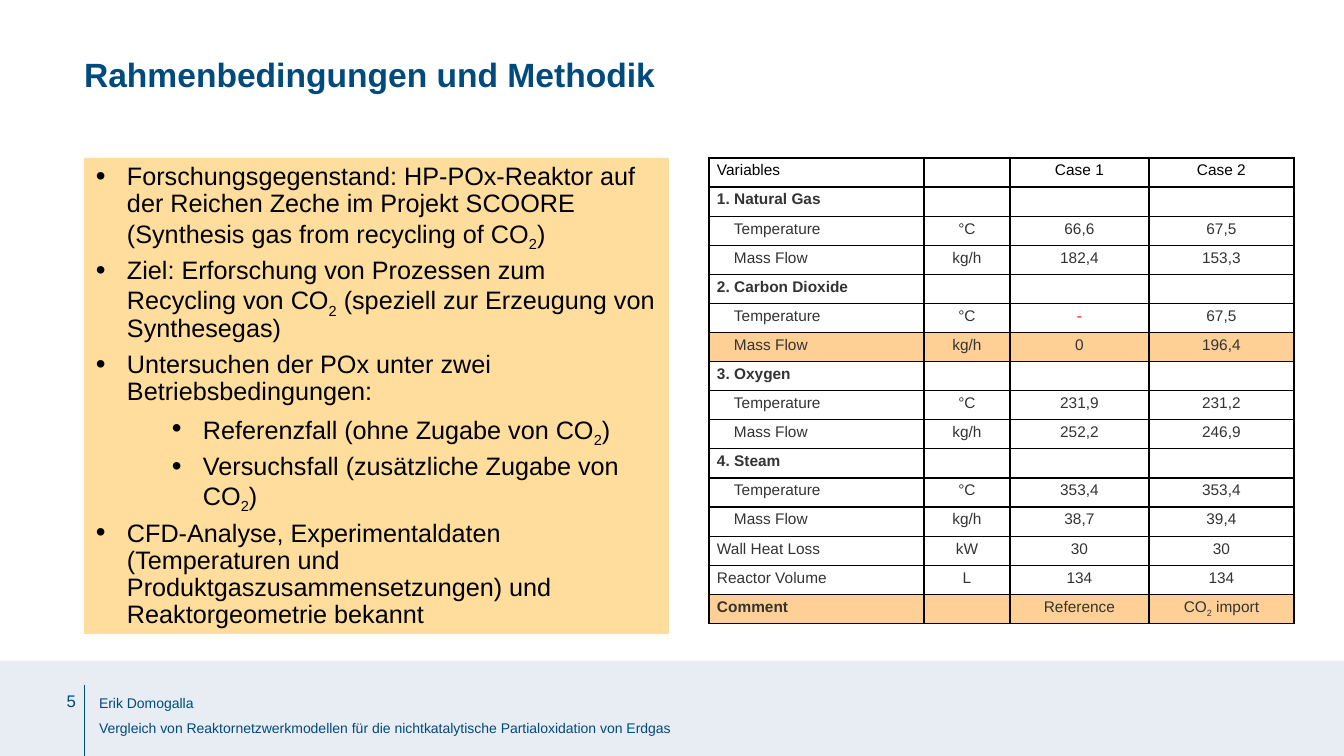
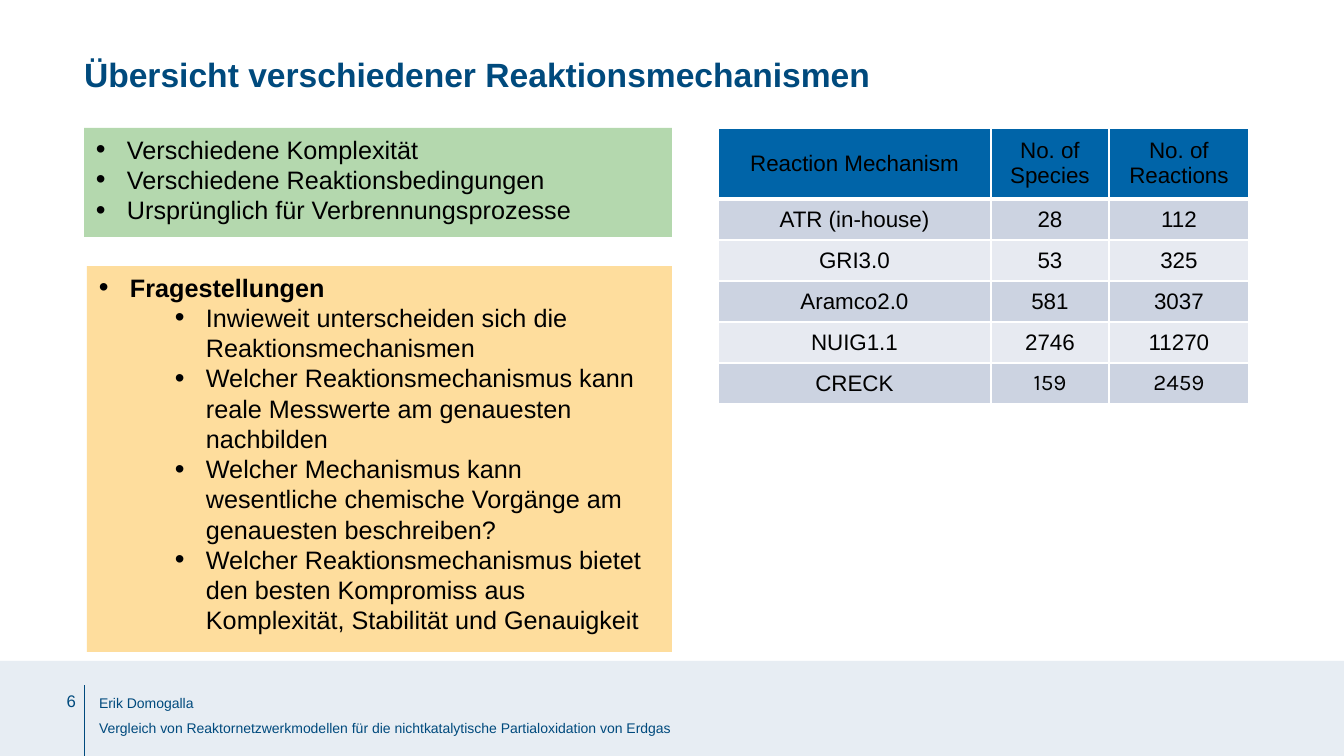
from lxml.etree import SubElement
from pptx import Presentation
from pptx.dml.color import RGBColor
from pptx.enum.shapes import MSO_CONNECTOR, MSO_SHAPE
from pptx.enum.text import MSO_ANCHOR, MSO_AUTO_SIZE, PP_ALIGN
from pptx.oxml.ns import qn
from pptx.util import Emu, Pt

EMU_PER_PX = 914400 / 100.8
FONT = "Arial"
COLORS = {
    "navy": "004A7D", "band": "E7EDF3", "black": "000000", "white": "FFFFFF",
    "gray": "333333", "red": "FF0000", "amber": "FEDD9D", "green": "B4D8AE",
    "highlight": "FED095", "header": "0064A8", "odd": "CCD3E1", "even": "E7EAF1",
}
AUTHOR = "Erik Domogalla"
TALK = "Vergleich von Reaktornetzwerkmodellen für die nichtkatalytische Partialoxidation von Erdgas"

RESEARCH_POINTS = [
    (0, "Forschungsgegenstand: HP-POx-Reaktor auf der Reichen Zeche im Projekt SCOORE "
        "(Synthesis gas from recycling of CO₂)"),
    (0, "Ziel: Erforschung von Prozessen zum Recycling von CO₂ (speziell zur Erzeugung von Synthesegas)"),
    (0, "Untersuchen der POx unter zwei Betriebsbedingungen:"),
    (1, "Referenzfall (ohne Zugabe von CO₂)"),
    (1, "Versuchsfall (zusätzliche Zugabe von CO₂)"),
    (0, "CFD-Analyse, Experimentaldaten (Temperaturen und Produktgaszusammensetzungen) "
        "und Reaktorgeometrie bekannt"),
]
# Inlet streams: name, temperatures, mass flows
STREAMS = [
    ("1. Natural Gas", ("66,6", "67,5"), ("182,4", "153,3")),
    ("2. Carbon Dioxide", ("-", "67,5"), ("0", "196,4")),
    ("3. Oxygen", ("231,9", "231,2"), ("252,2", "246,9")),
    ("4. Steam", ("353,4", "353,4"), ("38,7", "39,4")),
]
MECHANISM_TRAITS = [
    (0, "Verschiedene Komplexität"),
    (0, "Verschiedene Reaktionsbedingungen"),
    (0, "Ursprünglich für Verbrennungsprozesse"),
]
QUESTIONS = [
    (0, "Fragestellungen"),
    (1, "Inwieweit unterscheiden sich die Reaktionsmechanismen"),
    (1, "Welcher Reaktionsmechanismus kann reale Messwerte am genauesten nachbilden"),
    (1, "Welcher Mechanismus kann wesentliche chemische Vorgänge am genauesten beschreiben?"),
    (1, "Welcher Reaktionsmechanismus bietet den besten Kompromiss aus Komplexität, "
        "Stabilität und Genauigkeit"),
]
MECHANISMS = [
    ("Reaction Mechanism", "No. of\nSpecies", "No. of\nReactions"),
    ("ATR (in-house)", "28", "112"),
    ("GRI3.0", "53", "325"),
    ("Aramco2.0", "581", "3037"),
    ("NUIG1.1", "2746", "11270"),
    ("CRECK", "159", "2459"),
]


def px(length):
    return Emu(round(length * EMU_PER_PX))


def place(box):
    return [px(length) for length in box]


def rgb(color):
    return RGBColor.from_string(COLORS[color])


def fill(part, color):
    part.fill.solid()
    part.fill.fore_color.rgb = rgb(color)


def set_insets(part, left, top, right, bottom):
    part.margin_left, part.margin_top = px(left), px(top)
    part.margin_right, part.margin_bottom = px(right), px(bottom)


def write(paragraph, text, size, color, bold=False, align=PP_ALIGN.LEFT, font=FONT):
    """Fill one paragraph; the sign ₂ becomes a subscript run."""
    for index, piece in enumerate(text.split("₂")):
        if index:
            subscript = paragraph.add_run()
            subscript.text = "2"
            subscript.font._element.set("baseline", "-25000")
        if piece:
            paragraph.add_run().text = piece
    paragraph.alignment = align
    paragraph.font.size = Pt(size)
    paragraph.font.name = font
    paragraph.font.bold = bold
    paragraph.font.color.rgb = rgb(color)
    if not text:
        SubElement(paragraph._p, qn("a:endParaRPr"), sz=str(size * 100))


def write_lines(frame, lines, size, color, **style):
    for index, line in enumerate(lines):
        paragraph = frame.add_paragraph() if index else frame.paragraphs[0]
        write(paragraph, line, size, color, **style)


def add_bullet(paragraph, level):
    properties = paragraph._p.get_or_add_pPr()
    properties.set("marL", str(px((31, 107)[level])))
    properties.set("indent", str(-px(31)))
    SubElement(properties, qn("a:buSzPct"), val="110000")
    SubElement(properties, qn("a:buFont"), typeface=FONT)
    SubElement(properties, qn("a:buChar"), char="•")
    paragraph.level = level


def add_bullet_box(slide, box, color, points, line_spacing=1.0, space_after=0, bold_first=False):
    panel = slide.shapes.add_shape(MSO_SHAPE.RECTANGLE, *place(box))
    panel.shadow.inherit = False
    fill(panel, color)
    panel.line.fill.background()
    frame = panel.text_frame
    frame.word_wrap = True
    frame.vertical_anchor = MSO_ANCHOR.TOP
    set_insets(frame, 12, 6, 12, 4)
    for index, (level, text) in enumerate(points):
        paragraph = frame.add_paragraph() if index else frame.paragraphs[0]
        add_bullet(paragraph, level)
        paragraph.line_spacing = line_spacing
        paragraph.space_after = Pt(space_after)
        write(paragraph, text, 18, "black", bold=bold_first and index == 0)


def set_borders(cell, color, **widths):
    """Draw the four cell edges, 1 pt unless a width is given."""
    properties = cell._tc.get_or_add_tcPr()
    for edge in "LRTB":
        line = SubElement(properties, qn(f"a:ln{edge}"), w=str(Pt(widths.get(edge, 1))))
        SubElement(SubElement(line, qn("a:solidFill")), qn("a:srgbClr"), val=COLORS[color])


def add_plain_table(slide, box, column_widths, row_count):
    table = slide.shapes.add_table(row_count, len(column_widths), *place(box)).table
    table.first_row = table.horz_banding = False
    for column, width in zip(table.columns, column_widths):
        column.width = px(width)
    return table


def add_footer(slide, box, number):
    left, top, width, height = box
    band = slide.shapes.add_shape(MSO_SHAPE.RECTANGLE, *place(box))
    band.shadow.inherit = False
    fill(band, "band")
    band.line.fill.background()
    # Rule between slide number and talk
    rule = slide.shapes.add_connector(
        MSO_CONNECTOR.STRAIGHT, px(left + 84), px(top + height), px(left + 84), px(top + 24))
    rule.line.color.rgb = rgb("navy")
    rule.line.width = Pt(0.5)
    SubElement(rule._element.spPr, qn("a:effectLst"))
    # Slide number, then author and talk
    entries = [
        ((left + 21, top + 30, 55, 40), [str(number)], 12, PP_ALIGN.RIGHT, 1.0),
        ((left + 99, top + 25, 757, 58), [AUTHOR, TALK], 10, PP_ALIGN.LEFT, 1.5),
    ]
    for entry_box, lines, size, align, spacing in entries:
        frame = slide.shapes.add_textbox(*place(entry_box)).text_frame
        frame.word_wrap = True
        set_insets(frame, 0, 0, 0, 5)
        write_lines(frame, lines, size, "navy", align=align)
        for paragraph in frame.paragraphs:
            paragraph.line_spacing = spacing


def add_titled_slide(deck, title_text, number):
    slide = deck.slides.add_slide(deck.slide_layouts[5])
    add_footer(slide, (0, 661, 1344, 95), number)
    title = slide.shapes.title
    title.left, title.top, title.width, title.height = place((84, 58, 1210, 86))
    frame = title.text_frame
    frame.auto_size = MSO_AUTO_SIZE.NONE
    frame.word_wrap = True
    frame.vertical_anchor = MSO_ANCHOR.TOP
    set_insets(frame, 0, 0, 10, 5)
    write(frame.paragraphs[0], title_text, 24, "navy", bold=True)
    frame.paragraphs[0].line_spacing = 0.9
    return slide


def add_case_table(slide, box):
    # Row: kind, then the four cell texts
    rows = [("head", "Variables", "", "Case 1", "Case 2")]
    for name, temperatures, flows in STREAMS:
        flow_kind = "marked" if name == "2. Carbon Dioxide" else "detail"
        rows += [
            ("group", name, "", "", ""),
            ("detail", "Temperature", "°C", *temperatures),
            (flow_kind, "Mass Flow", "kg/h", *flows),
        ]
    rows += [
        ("total", "Wall Heat Loss", "kW", "30", "30"),
        ("total", "Reactor Volume", "L", "134", "134"),
        ("comment", "Comment", "", "Reference", "CO₂ import"),
    ]
    table = add_plain_table(slide, box, (215, 86, 139, 145), len(rows))
    for row_index, (kind, *texts) in enumerate(rows):
        for column_index, text in enumerate(texts):
            cell = table.cell(row_index, column_index)
            is_label = column_index == 0
            set_borders(cell, "black")
            fill(cell, "highlight" if kind in ("marked", "comment") else "white")
            indented = is_label and kind in ("detail", "marked")
            set_insets(cell, 25 if indented else 8, 4, 8, 4)
            color = "black" if kind == "head" else "red" if text == "-" else "gray"
            write(cell.text_frame.paragraphs[0], text, 11, color,
                  bold=is_label and kind in ("group", "comment"),
                  align=PP_ALIGN.LEFT if is_label else PP_ALIGN.CENTER)


def add_mechanism_table(slide, box):
    table = add_plain_table(slide, box, (273, 118, 140), len(MECHANISMS))
    for row_index, texts in enumerate(MECHANISMS):
        table.rows[row_index].height = px(41 if row_index else 71)
        for column_index, text in enumerate(texts):
            cell = table.cell(row_index, column_index)
            set_borders(cell, "white", T=3 if row_index == 1 else 1, B=1 if row_index else 3)
            fill(cell, ("even", "odd")[row_index % 2] if row_index else "header")
            cell.vertical_anchor = MSO_ANCHOR.MIDDLE
            font = "Karla" if texts[0] == "CRECK" and column_index else FONT
            write_lines(cell.text_frame, text.split("\n"), 16, "black",
                        align=PP_ALIGN.CENTER, font=font)


def build_method_slide(deck):
    slide = add_titled_slide(deck, "Rahmenbedingungen und Methodik", 5)
    add_bullet_box(slide, (84, 158, 585, 476), "amber", RESEARCH_POINTS,
                   line_spacing=0.9, space_after=6)
    add_case_table(slide, (709, 158, 585, 466))


def build_mechanism_slide(deck):
    slide = add_titled_slide(deck, "Übersicht verschiedener Reaktionsmechanismen", 6)
    add_mechanism_table(slide, (718, 128, 531, 276))
    add_bullet_box(slide, (84, 128, 588, 109), "green", MECHANISM_TRAITS)
    add_bullet_box(slide, (87, 266, 585, 386), "amber", QUESTIONS, bold_first=True)


def main():
    deck = Presentation()
    deck.slide_width, deck.slide_height = px(1344), px(756)
    build_method_slide(deck)
    build_mechanism_slide(deck)
    deck.save("out.pptx")


if __name__ == "__main__":
    main()
